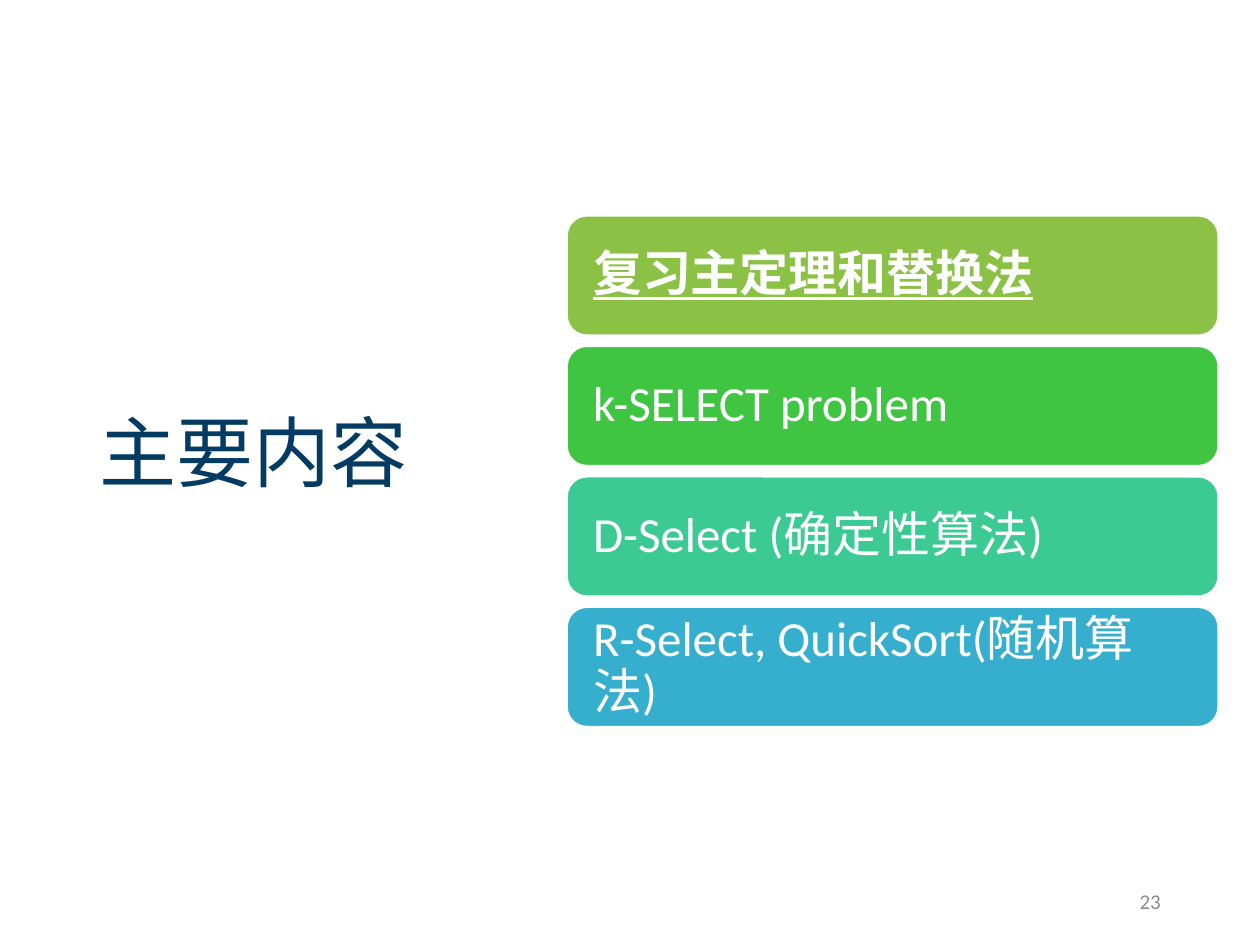
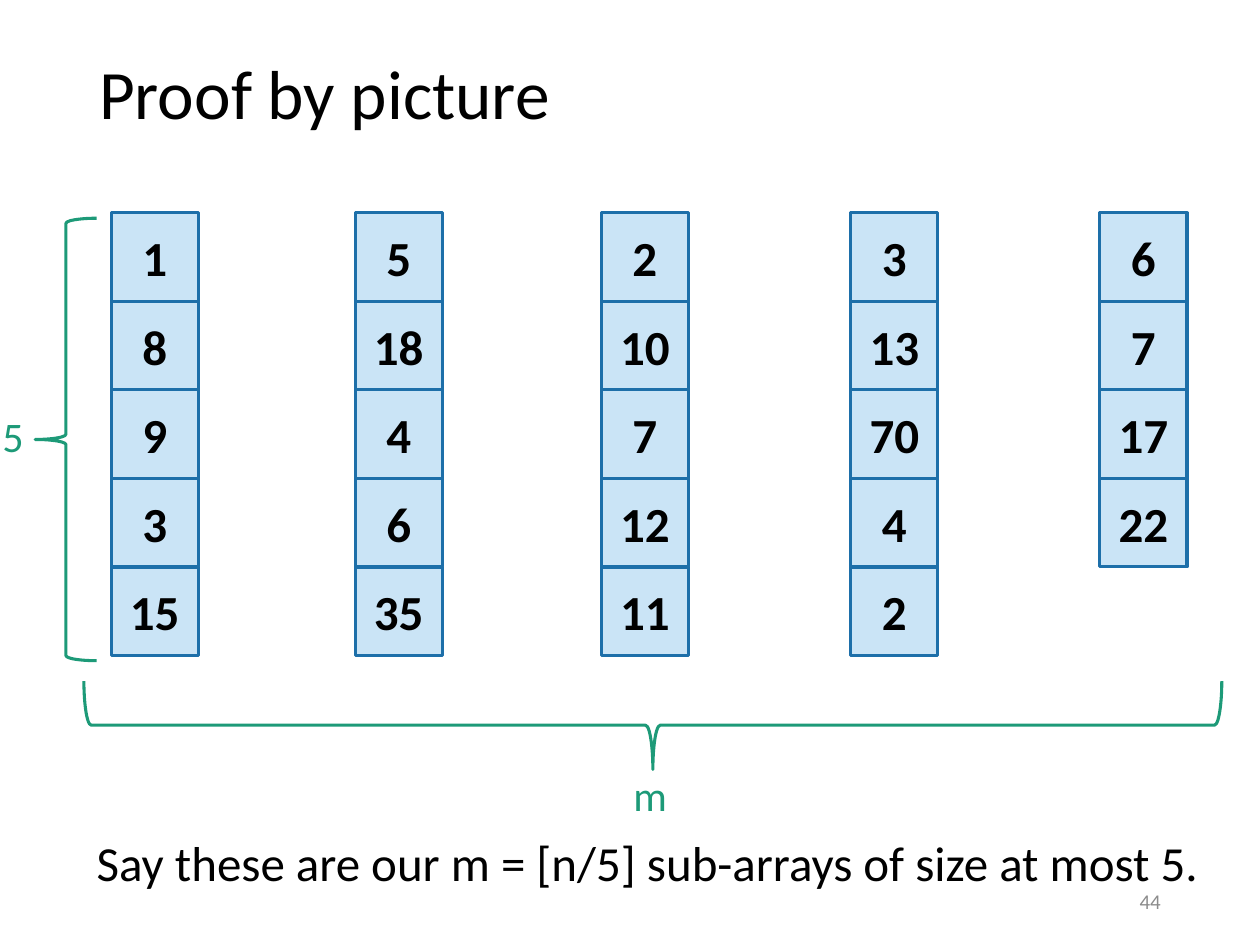
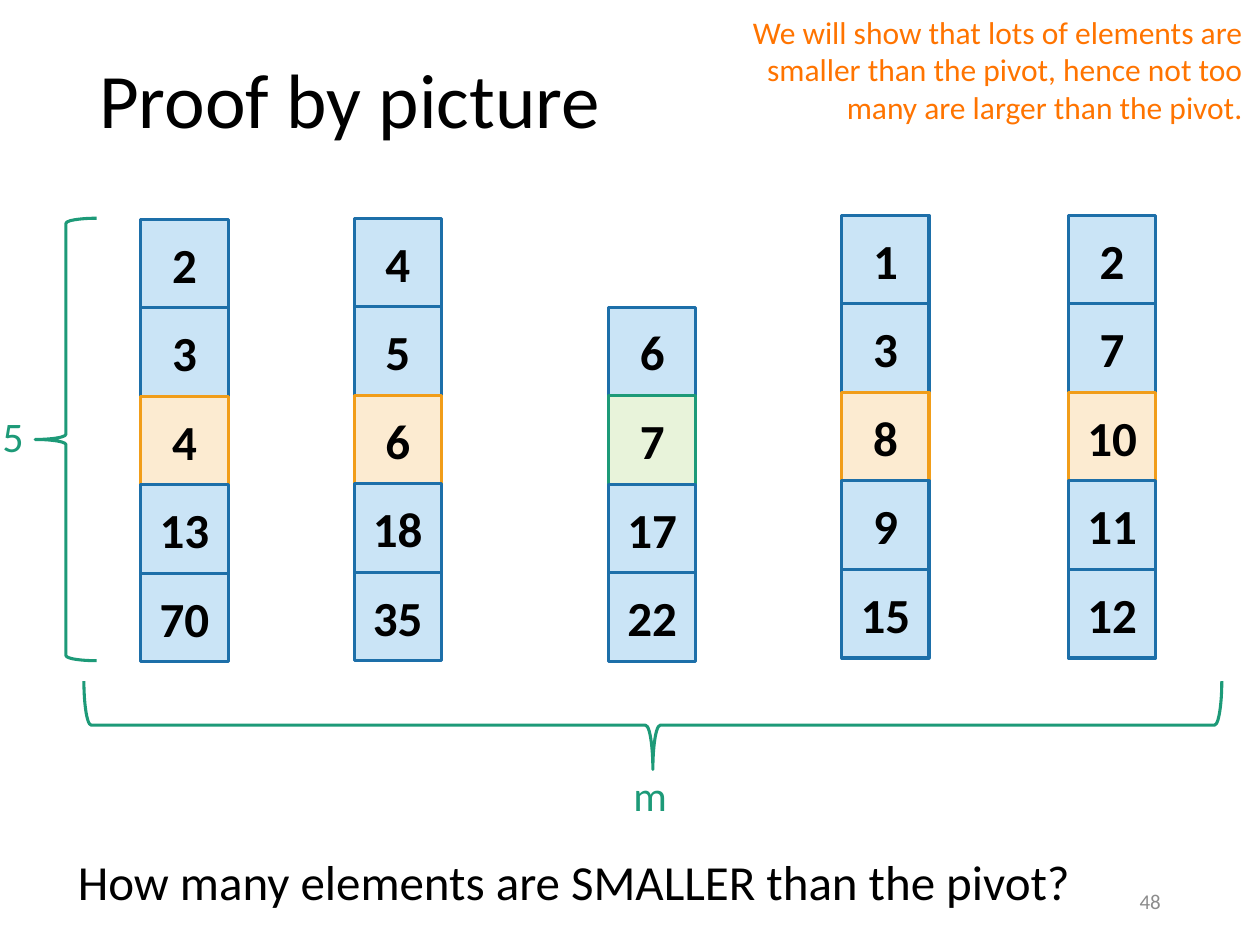
"""Builds three slides about selection algorithms."""
from pptx import Presentation
from pptx.dml.color import RGBColor
from pptx.enum.shapes import MSO_SHAPE
from pptx.enum.text import MSO_ANCHOR, PP_ALIGN
from pptx.util import Cm, Pt

RECTANGLE = MSO_SHAPE.RECTANGLE
ROUNDED = MSO_SHAPE.ROUNDED_RECTANGLE
LEFT_BRACE = MSO_SHAPE.LEFT_BRACE
RIGHT_BRACE = MSO_SHAPE.RIGHT_BRACE
TOP = MSO_ANCHOR.TOP
MIDDLE = MSO_ANCHOR.MIDDLE
LEFT = PP_ALIGN.LEFT
CENTER = PP_ALIGN.CENTER
RIGHT = PP_ALIGN.RIGHT

FONT = "Calibri"
BLACK, WHITE, GRAY = "000000", "FFFFFF", "8C8C8C"
NAVY, GREEN, ORANGE = "033B63", "1D9A78", "FF7400"
PLAIN_CELL = ("CAE4F6", "1D6FA9")
MEDIAN_CELL = ("FCEBD1", "F19D19")
PIVOT_CELL = ("E8F3DA", GREEN)

CELL_WIDTH, CELL_HEIGHT = 1.76, 1.785
BAR_TOP, BAR_PITCH = 4.35, 2.63

TOPICS = [
    ("复习主定理和替换法", "8BC145"),
    ("k-SELECT problem", "40C543"),
    ("D-Select (确定性算法)", "3BCA93"),
    ("R-Select, QuickSort(随机算法)", "36AFCE"),
]
UNSORTED_COLUMNS = [
    (2.24, [1, 8, 9, 3, 15]),
    (7.16, [5, 18, 4, 6, 35]),
    (12.12, [2, 10, 7, 12, 11]),
    (17.15, [3, 13, 70, 4, 2]),
    (22.17, [6, 7, 17, 22]),
]
SORTED_COLUMNS = [
    (2.84, 4.42, [2, 3, 4, 13, 70], 2, MEDIAN_CELL),
    (7.14, 4.4, [4, 5, 6, 18, 35], 2, MEDIAN_CELL),
    (12.27, 6.19, [6, 7, 17, 22], 1, PIVOT_CELL),
    (16.97, 4.34, [1, 3, 8, 9, 15], 2, MEDIAN_CELL),
    (21.54, 4.34, [2, 7, 10, 11, 12], 2, MEDIAN_CELL),
]


def color(hex_string):
    """Return the colour for a hex string."""
    return RGBColor.from_string(hex_string)


def write_text(shape, text, size=28, ink=BLACK, bold=False, underline=False,
               align=LEFT, anchor=TOP, line_spacing=1.0, side_margin=0.25):
    """Write one formatted paragraph into a shape."""
    frame = shape.text_frame
    frame.word_wrap = True
    frame.vertical_anchor = anchor
    frame.margin_left = frame.margin_right = Cm(side_margin)
    paragraph = frame.paragraphs[0]
    paragraph.alignment = align
    paragraph.line_spacing = line_spacing
    run = paragraph.add_run()
    run.text = text
    font = run.font
    font.name, font.size, font.bold = FONT, Pt(size), bold
    font.underline = underline
    font.color.rgb = color(ink)


def add_text(slide, text, left, top, width, height, **text_format):
    """Add a text box."""
    box = slide.shapes.add_textbox(Cm(left), Cm(top), Cm(width), Cm(height))
    write_text(box, text, **text_format)


def add_shape(slide, kind, left, top, width, height, line, line_width=1.75, fill=None):
    """Add a preset shape with an outline and an optional fill."""
    shape = slide.shapes.add_shape(kind, Cm(left), Cm(top), Cm(width), Cm(height))
    shape.shadow.inherit = False
    shape.line.color.rgb = color(line)
    shape.line.width = Pt(line_width)
    if fill:
        shape.fill.solid()
        shape.fill.fore_color.rgb = color(fill)
    else:
        shape.fill.background()
    return shape


def add_title(slide, text, top, height, width=21.9, size=44, ink=BLACK):
    """Add the slide title."""
    add_text(slide, text, 1.75, top, width, height, size=size, ink=ink,
             anchor=MIDDLE, line_spacing=0.9)


def add_page_number(slide, number):
    """Add the page number at the lower right."""
    add_text(slide, str(number), 17.93, 17.65, 5.72, 1.02, size=12, ink=GRAY,
             align=RIGHT, anchor=MIDDLE)


def add_topic_bar(slide, index, topic, fill):
    """Add one bar of the agenda, the first one being the current topic."""
    current = index == 0
    bar = add_shape(slide, ROUNDED, 11.43, BAR_TOP + index * BAR_PITCH, 13.13, 2.41,
                    WHITE, 1, fill)
    write_text(bar, topic, ink=WHITE, bold=current, underline=current,
               anchor=MIDDLE, line_spacing=0.9, side_margin=0.41)


def add_column(slide, left, top, numbers, marked=None, marked_style=PLAIN_CELL):
    """Stack the cells of one sub-array, with one cell marked if asked."""
    for row, number in enumerate(numbers):
        fill, line = marked_style if row == marked else PLAIN_CELL
        cell = add_shape(slide, RECTANGLE, left, top + row * CELL_HEIGHT,
                         CELL_WIDTH, CELL_HEIGHT, line, fill=fill)
        write_text(cell, str(number), bold=True, align=CENTER, anchor=MIDDLE)


def add_dimensions(slide):
    """Add the braces that show 5 rows and m columns."""
    add_text(slide, "5", -0.2, 8.15, 1.93, 1.27, size=24, ink=GREEN)
    column_brace = add_shape(slide, RIGHT_BRACE, 12.27, 3.15, 1.78, 22.94, GREEN)
    column_brace.rotation = 90
    add_shape(slide, LEFT_BRACE, 0.71, 4.4, 1.24, 8.92, GREEN)
    add_text(slide, "m", 12.52, 15.39, 1.93, 1.27, size=24, ink=GREEN)


def build_agenda(slide):
    """Build the agenda slide."""
    add_title(slide, "主要内容", 3.33, 11.76, width=7.21, ink=NAVY)
    for index, (topic, fill) in enumerate(TOPICS):
        add_topic_bar(slide, index, topic, fill)
    add_page_number(slide, 23)


def build_unsorted(slide):
    """Build the slide with the unsorted sub-arrays."""
    add_title(slide, "Proof by picture", 1.02, 1.88, size=39.6)
    for left, numbers in UNSORTED_COLUMNS:
        add_column(slide, left, 4.29, numbers)
    add_text(slide, "Say these are our m = [n/5] sub-arrays of size at most 5.",
             1.7, 16.66, 22.91, 1.45)
    add_dimensions(slide)
    add_page_number(slide, 44)


def build_sorted(slide):
    """Build the slide with sorted sub-arrays, medians and pivot."""
    add_title(slide, "Proof by picture", 1.02, 2.13)
    for column in SORTED_COLUMNS:
        add_column(slide, *column)
    add_dimensions(slide)
    add_text(slide, "How many elements are SMALLER than the pivot?",
             1.32, 17.04, 22, 1.45)
    add_text(slide, "We will show that lots of elements are smaller than the pivot, "
             "hence not too many are larger than the pivot.",
             14.02, 0.13, 11.28, 2.57, size=18, ink=ORANGE, align=RIGHT)
    add_page_number(slide, 48)


def main():
    """Build and save the presentation."""
    presentation = Presentation()
    presentation.slide_width, presentation.slide_height = Cm(25.4), Cm(19.05)
    blank_layout = presentation.slide_layouts[6]
    for build in (build_agenda, build_unsorted, build_sorted):
        build(presentation.slides.add_slide(blank_layout))
    presentation.save("out.pptx")


if __name__ == "__main__":
    main()
